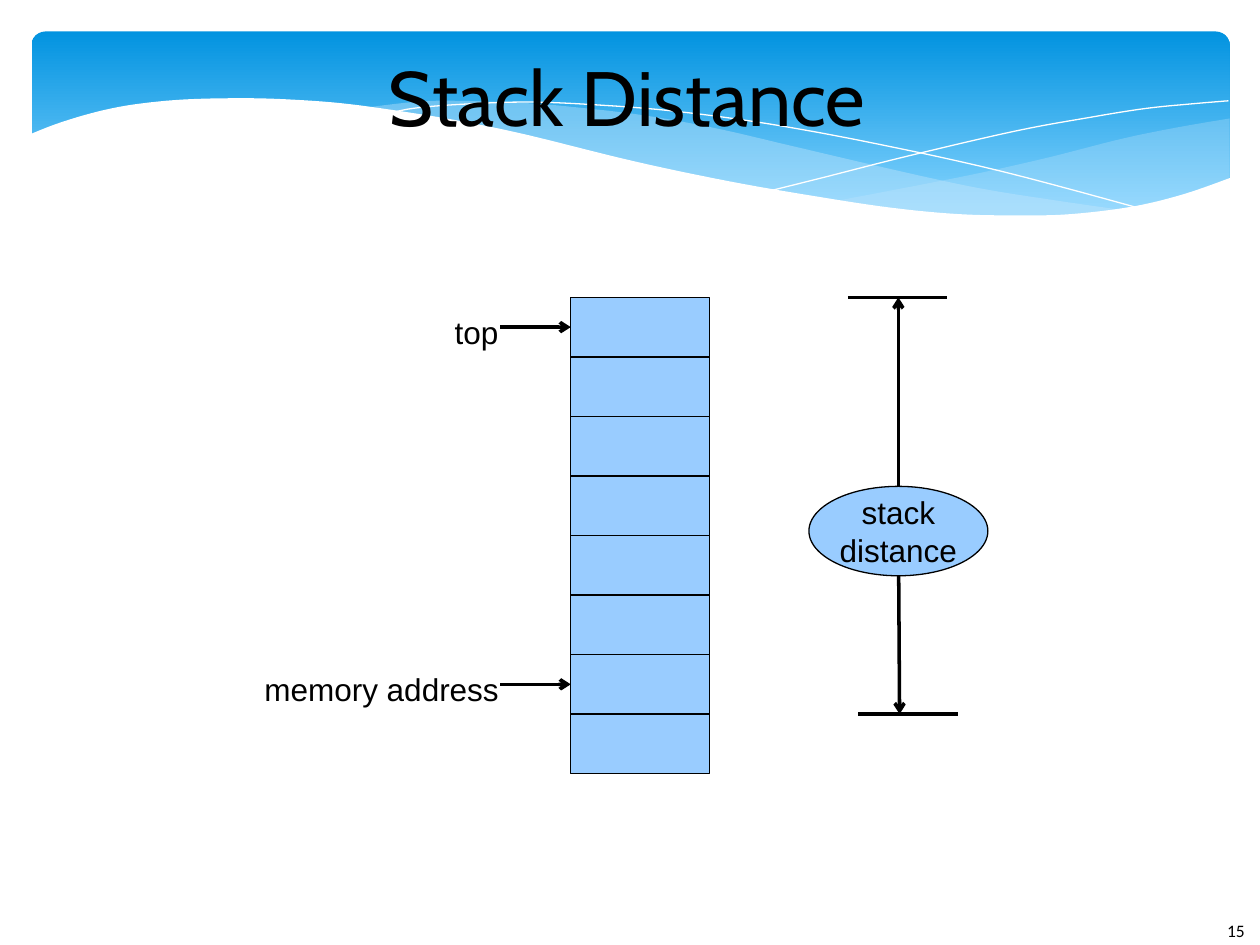
from dataclasses import dataclass

from lxml import etree
from pptx import Presentation
from pptx.dml.color import RGBColor
from pptx.enum.shapes import MSO_CONNECTOR, MSO_SHAPE
from pptx.enum.text import MSO_ANCHOR, MSO_AUTO_SIZE, PP_ALIGN
from pptx.oxml.ns import qn
from pptx.util import Inches, Pt

RECT, ROUNDED, OVAL = MSO_SHAPE.RECTANGLE, MSO_SHAPE.ROUNDED_RECTANGLE, MSO_SHAPE.OVAL
STRAIGHT = MSO_CONNECTOR.STRAIGHT
LEFT, CENTER = PP_ALIGN.LEFT, PP_ALIGN.CENTER
TOP, MIDDLE = MSO_ANCHOR.TOP, MSO_ANCHOR.MIDDLE
NO_AUTOFIT = MSO_AUTO_SIZE.NONE


@dataclass(frozen=True)
class Theme:
    """Colours, fonts and type sizes of the slide."""
    ink: str = "000000"
    paper: str = "FFFFFF"
    cell: str = "99CCFF"
    sky_top: str = "0293E0"
    sky_bottom: str = "83D3FE"
    wave: str = "C6E7FC"
    title_font: str = "Cabin"
    body_font: str = "Arial"
    number_font: str = "Calibri"
    title_size: int = 44
    body_size: int = 18
    number_size: int = 10


THEME = Theme()

WAVE_RIGHT_TOP = [(9.76, 0.94), (9.35, 1.01), (8.91, 1.1), (8.32, 1.25),
                  (7.79, 1.37), (7.29, 1.47), (6.61, 1.6)]
WAVE_RIGHT_BOTTOM = [(6.61, 1.6), (7.05, 1.65), (7.57, 1.7), (8.14, 1.72),
                     (8.63, 1.7), (9.05, 1.63), (9.42, 1.54), (9.76, 1.41)]
WAVE_LEFT_TOP = [(8.93, 1.67), (8.37, 1.59), (7.75, 1.49), (7.06, 1.34),
                 (6.29, 1.16), (5.69, 1.02), (5.14, 0.92), (4.65, 0.86),
                 (4.2, 0.82), (3.61, 0.8), (3.28, 0.81), (2.86, 0.86)]
WAVE_LEFT_BOTTOM = [(2.86, 0.86), (3.42, 0.94), (4.04, 1.06), (4.91, 1.26),
                    (5.66, 1.43), (6.34, 1.56), (6.95, 1.65), (7.48, 1.7),
                    (7.96, 1.73), (8.48, 1.72), (8.93, 1.67)]
CREST_LEFT = [(3.09, 0.9), (3.28, 0.86), (3.63, 0.83), (4.16, 0.81), (4.69, 0.83),
              (5.33, 0.88), (6.08, 0.98), (6.95, 1.14), (7.95, 1.36), (9.07, 1.66)]
CREST_RIGHT = [(6.13, 1.51), (6.53, 1.41), (7.2, 1.24), (8.06, 1.04),
               (8.66, 0.93), (9.1, 0.86), (9.51, 0.82), (9.75, 0.8)]
PAPER_EDGE = [(9.77, 1.41), (9.4, 1.54), (8.99, 1.64), (8.5, 1.7), (8.09, 1.71),
              (7.61, 1.7), (7.08, 1.65), (6.48, 1.56), (5.79, 1.44), (5.03, 1.28),
              (4.18, 1.07), (3.65, 0.96), (3.16, 0.88), (2.71, 0.82), (2.3, 0.79),
              (1.93, 0.78), (1.46, 0.79), (1.06, 0.83), (0.76, 0.89), (0.46, 0.98),
              (0.23, 1.07)]


def smooth(points, steps=6):
    """Return the points of a Catmull-Rom curve through the given points."""
    padded = [points[0], *points, points[-1]]
    curve = [points[0]]
    for a, b, c, d in zip(padded, padded[1:], padded[2:], padded[3:]):
        for i in range(1, steps + 1):
            t = i / steps
            curve.append(tuple(
                (2 * q + (r - p) * t + (2 * p - 5 * q + 4 * r - u) * t ** 2
                 + (3 * q - p - 3 * r + u) * t ** 3) / 2
                for p, q, r, u in zip(a, b, c, d)))
    return curve


def paint(sp, fill=None, line=None, alpha=None):
    """Give a shape its flat fill, hairline and opacity in percent."""
    sp.shadow.inherit = False
    if fill:
        sp.fill.solid()
        sp.fill.fore_color.rgb = RGBColor.from_string(fill)
    else:
        sp.fill.background()
    if alpha:
        color = sp.fill._xPr.find(qn("a:solidFill"))[0]
        etree.SubElement(color, qn("a:alpha"), val=str(alpha * 1000))
    if line:
        sp.line.color.rgb = RGBColor.from_string(line)
        sp.line.width = Pt(0)
    else:
        sp.line.fill.background()


def add_outline(s, points, close=True, **look):
    """Add a freeform through points given in inches."""
    start, *rest = [(Inches(x), Inches(y)) for x, y in points]
    builder = s.shapes.build_freeform(*start, scale=1.0)
    builder.add_line_segments(rest, close=close)
    paint(builder.convert_to_shape(), **look)


def add_banner(s):
    """Add the gradient banner with its waves."""
    sp = s.shapes.add_shape(ROUNDED, Inches(0.25), Inches(0.25), Inches(9.51), Inches(1.56))
    sp.adjustments[0] = 0.071
    paint(sp)
    sp.fill.gradient()
    sp.fill.gradient_angle = 270
    stops = ((0, THEME.sky_top), (0.9, THEME.sky_bottom))
    for stop, (position, color) in zip(sp.fill.gradient_stops, stops):
        stop.position = position
        stop.color.rgb = RGBColor.from_string(color)
    add_outline(s, smooth(WAVE_RIGHT_TOP) + smooth(WAVE_RIGHT_BOTTOM), fill=THEME.wave, alpha=29)
    add_outline(s, smooth(WAVE_LEFT_TOP) + smooth(WAVE_LEFT_BOTTOM), fill=THEME.wave, alpha=40)
    for crest in (CREST_LEFT, CREST_RIGHT):
        add_outline(s, smooth(crest), close=False, line=THEME.paper)
    add_outline(s, smooth(PAPER_EDGE) + [(0.23, 2.24), (9.77, 2.24)], fill=THEME.paper)


def set_text(sp, text, font=THEME.body_font, size=THEME.body_size, align=LEFT,
             anchor=TOP, wrap=False):
    """Write formatted text into a shape."""
    tf = sp.text_frame
    tf.text = text
    tf.word_wrap = wrap
    tf.auto_size = NO_AUTOFIT
    tf.vertical_anchor = anchor
    for p in tf.paragraphs:
        p.alignment = align
        for r in p.runs:
            r.font.name = font
            r.font.size = Pt(size)
            r.font.color.rgb = RGBColor.from_string(THEME.ink)


def add_title(s, text):
    """Place the title placeholder in front of the banner."""
    sp = s.shapes.title
    sp.left, sp.top, sp.width, sp.height = map(Inches, (0.92, 0.25, 8.11, 1.02))
    set_text(sp, text, THEME.title_font, THEME.title_size, CENTER, MIDDLE, wrap=True)
    tf = sp.text_frame
    tf.margin_left = tf.margin_right = tf.margin_top = tf.margin_bottom = 0
    sp._element.getparent().append(sp._element)


def add_label(s, text, x, y, w, h, **style):
    """Add a text box."""
    sp = s.shapes.add_textbox(Inches(x), Inches(y), Inches(w), Inches(h))
    set_text(sp, text, **style)


def add_node(s, kind, x, y, w, h):
    """Add an outlined blue shape."""
    sp = s.shapes.add_shape(kind, Inches(x), Inches(y), Inches(w), Inches(h))
    paint(sp, THEME.cell, THEME.ink)
    return sp


def add_line(s, x1, y1, x2, y2, arrow=False):
    """Add a hairline, with an arrowhead at its end if asked."""
    cn = s.shapes.add_connector(STRAIGHT, Inches(x1), Inches(y1), Inches(x2), Inches(y2))
    cn.line.color.rgb = RGBColor.from_string(THEME.ink)
    cn.line.width = Pt(0)
    if arrow:
        etree.SubElement(cn.line._get_or_add_ln(), qn("a:tailEnd"), type="arrow")
    etree.SubElement(cn._element.spPr, qn("a:effectLst"))


def main():
    """Build the slide and save it."""
    prs = Presentation()
    prs.slide_width, prs.slide_height = Inches(10), Inches(7.5)
    s = prs.slides.add_slide(prs.slide_layouts[5])
    add_banner(s)
    add_label(s, "15", 9.64, 7.25, 0.61, 0.4, font=THEME.number_font, size=THEME.number_size)
    add_title(s, "Stack Distance")

    stack_left, stack_top, cell_w, cell_h, cells = 4.53, 2.36, 1.1, 0.4725, 8
    for i in range(cells):
        add_node(s, RECT, stack_left, stack_top + i * cell_h, cell_w, cell_h)
    for text, row, width in (("top", 0, 0.55), ("memory address", 6, 2.06)):
        y = stack_top + (row + 0.5) * cell_h
        add_label(s, text, 4.06 - width, y - 0.16, width, 0.38)
        add_line(s, 3.97, y, stack_left, y, arrow=True)

    stack_end = stack_top + 7 * cell_h
    for x, y in ((6.73, stack_top), (6.81, stack_end)):
        add_line(s, x, y, x + 0.79, y)
    add_line(s, 7.13, 4.02, 7.13, stack_top, arrow=True)
    add_line(s, 7.13, 4.17, 7.14, stack_end, arrow=True)
    oval = add_node(s, OVAL, 6.42, 3.86, 1.42, 0.71)
    set_text(oval, "stack\ndistance", align=CENTER, anchor=MIDDLE)
    prs.save("out.pptx")


if __name__ == "__main__":
    main()
